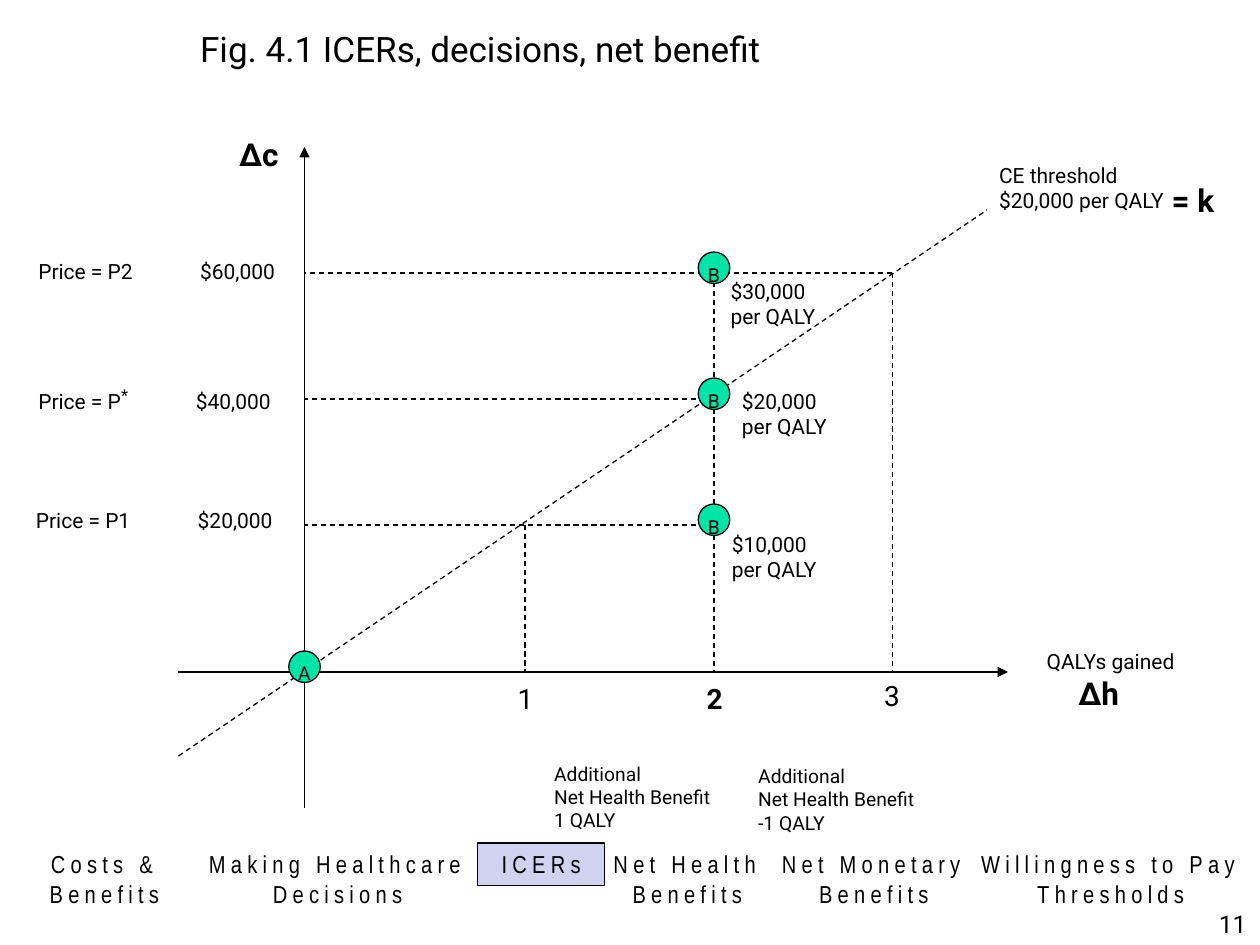
from lxml.etree import SubElement
from pptx import Presentation
from pptx.dml.color import RGBColor
from pptx.enum.dml import MSO_LINE
from pptx.enum.shapes import MSO_CONNECTOR, MSO_SHAPE
from pptx.enum.text import MSO_ANCHOR, MSO_AUTO_SIZE, PP_ALIGN
from pptx.oxml.ns import qn
from pptx.util import Pt

BLACK, GREEN, LILAC = "000000", "00E4A8", "D1D1F0"
ROBOTO, NARROW = "Roboto", "Arial Narrow"

# Chart geometry: origin, gained QALYs 1-3 and costs $20,000-$60,000
X0, Y0 = 174, 384
X1, X2, X3 = 300, 408, 510
Y20, Y40, Y60 = [300 - 72 * i for i in range(3)]

AXES = [  # x1, y1, x2, y2, arrowhead
    (X0, Y0, X0, 84, True),
    (X0, Y0, 576, Y0, True),
    (X0, Y0, X0, 462, False),
    (X0, Y0, 102, Y0, False),
]
GUIDES = [
    (X2, Y60, X2, Y0),
    (X3, Y60, X3, Y0),
    (X3, Y60, X0, Y60),
    (X2, Y40, X0, Y40),
    (X2, Y20, X0, Y20),
    (X1, Y20, X1, Y0),
    (102, 432, 564, 120),  # cost-effectiveness threshold
]
POINTS = [("A", X0, Y0), ("B", X2, Y60), ("B", X2, Y20), ("B", X2, Y40)]
DOT, DOT_LIFT = 18, 3

LABELS = [  # lines, left, top, width, height, size, bold
    (["$30,000", "per QALY"], 410.4, 155.5, 66, 36, 12, False),
    (["$20,000", "per QALY"], 416.9, 218.2, 66, 36, 12, False),
    (["$10,000", "per QALY"], 411.1, 300.2, 66, 36, 12, False),
    (["CE threshold", "$20,000 per QALY"], 563.8, 89.3, 132, 36, 12, False),
    (["1"], 288.7, 386, 30, 26.6, 16, False),
    (["2"], 396.7, 386, 30, 26.6, 16, True),
    (["3"], 498.2, 384, 30, 26.6, 16, False),
    (["QALYs gained"], 591, 367.2, 91.5, 22, 12, False),
    (["Additional", "Net Health Benefit", "1 QALY"],
     309.6, 432, 141, 47.5, 11, False),
    (["Additional", "Net Health Benefit", "-1 QALY"],
     426.2, 433.4, 141, 47.5, 11, False),
    (["Fig. 4.1 ICERs, decisions, net benefit"],
     107.3, 12.2, 564, 31.7, 20, False),
    (["Δh"], 609.1, 381.6, 54, 28.8, 18, True),
    (["Δc"], 129.6, 73.4, 54, 28.8, 18, True),
    (["= k"], 662.4, 100, 54, 28.8, 18, True),
]
PRICES = [  # price, superscript, amount, left, top, tab stop
    ("Price = P1", "", "$20,000", 13.4, 286.6, 92.5),
    ("Price = P2", "", "$60,000", 14.8, 144, 92.5),
    ("Price = P", "*", "$40,000", 14.8, 214.6, 90),
]
SECTIONS = [  # name, left, width
    ("Costs & Benefits", 1.4, 116.6),
    ("Making Healthcare Decisions", 112.3, 161.3),
    ("ICERs", 272.9, 72.7),
    ("Net Health Benefits", 342, 101.5),
    ("Net Monetary Benefits", 434.9, 128.9),
    ("Willingness to Pay Thresholds", 549.4, 170.6),
]
CURRENT, NAV_TOP = "ICERs", 481.7

prs = Presentation()
prs.slide_width, prs.slide_height = Pt(720), Pt(540)
s = prs.slides.add_slide(prs.slide_layouts[6])


def rgb(color):
    return RGBColor.from_string(color)


def add_line(x1, y1, x2, y2, dashed=False, arrow=False):
    c = s.shapes.add_connector(MSO_CONNECTOR.STRAIGHT, Pt(x1), Pt(y1), Pt(x2), Pt(y2))
    c.line.color.rgb = rgb(BLACK)
    c.line.width = Pt(0.75)
    if dashed:
        c.line.dash_style = MSO_LINE.DASH
    if arrow:
        SubElement(c.line._get_or_add_ln(), qn("a:tailEnd"), type="triangle")
    SubElement(c._element.spPr, qn("a:effectLst"))


def add_run(p, text, size, font=ROBOTO, bold=False, **attrs):
    """Add a run; attrs go on its properties, such as spc or baseline."""
    r = p.add_run()
    r.text = text
    r.font.name, r.font.size, r.font.bold = font, Pt(size), bold
    r.font.color.rgb = rgb(BLACK)
    for key, value in attrs.items():
        r._r.get_or_add_rPr().set(key, value)


def add_box(left, top, width, height):
    sp = s.shapes.add_textbox(Pt(left), Pt(top), Pt(width), Pt(height))
    sp.text_frame.word_wrap = True
    return sp


def add_outlined(kind, left, top, width, height, fill):
    sp = s.shapes.add_shape(kind, Pt(left), Pt(top), Pt(width), Pt(height))
    sp.shadow.inherit = False
    sp.fill.solid()
    sp.fill.fore_color.rgb = rgb(fill)
    sp.line.color.rgb = rgb(BLACK)
    sp.line.width = Pt(0.75)
    sp.text_frame.vertical_anchor = MSO_ANCHOR.TOP
    return sp


for x1, y1, x2, y2, arrow in AXES:
    add_line(x1, y1, x2, y2, arrow=arrow)
for guide in GUIDES:
    add_line(*guide, dashed=True)

for name, x, y in POINTS:
    sp = add_outlined(MSO_SHAPE.OVAL, x - DOT / 2, y - DOT / 2 - DOT_LIFT, DOT, DOT, GREEN)
    sp.text_frame.word_wrap = False
    p = sp.text_frame.paragraphs[0]
    p.alignment = PP_ALIGN.CENTER
    add_run(p, name, 11)

for lines, left, top, width, height, size, bold in LABELS:
    tf = add_box(left, top, width, height).text_frame
    tf.auto_size = MSO_AUTO_SIZE.SHAPE_TO_FIT_TEXT
    for i, line in enumerate(lines):
        p = tf.add_paragraph() if i else tf.paragraphs[0]
        add_run(p, line, size, bold=bold)

for price, sup, amount, left, top, tab in PRICES:
    p = add_box(left, top, 168, 22).text_frame.paragraphs[0]
    tabs = SubElement(p._p.get_or_add_pPr(), qn("a:tabLst"))
    SubElement(tabs, qn("a:tab"), pos=str(int(Pt(tab))), algn="l")
    add_run(p, price, 12)
    if sup:
        add_run(p, sup, 16, baseline="30000")
    add_run(p, "\t" + amount, 12)

for name, left, width in SECTIONS:
    if name == CURRENT:
        sp = add_outlined(MSO_SHAPE.RECTANGLE, left, NAV_TOP, width, 24.5, LILAC)
    else:
        sp = add_box(left, NAV_TOP, width, 41)
    sp.text_frame.auto_size = MSO_AUTO_SIZE.SHAPE_TO_FIT_TEXT
    p = sp.text_frame.paragraphs[0]
    p.alignment = PP_ALIGN.CENTER
    add_run(p, name, 14, NARROW, spc="300")

tf = add_box(569.5, 504, 149.8, 36).text_frame
tf.vertical_anchor = MSO_ANCHOR.BOTTOM
tf.paragraphs[0].alignment = PP_ALIGN.RIGHT
add_run(tf.paragraphs[0], "11", 14)

prs.save("out.pptx")
